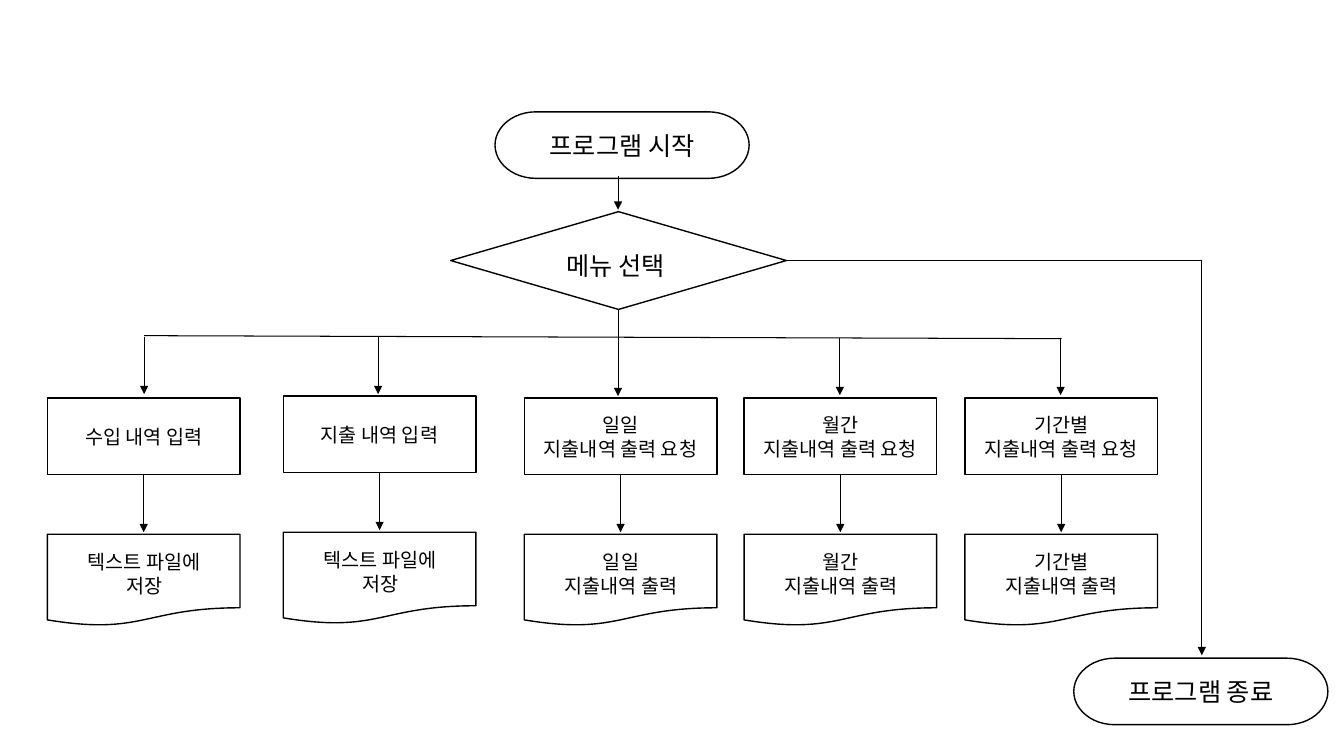
from dataclasses import dataclass

from lxml import etree
from pptx import Presentation
from pptx.dml.color import RGBColor
from pptx.enum import shapes, text
from pptx.oxml import ns
from pptx.util import Inches, Pt


@dataclass(frozen=True)
class Theme:
    font: str = "Arial"
    ink: RGBColor = RGBColor(0, 0, 0)
    large: int = 18
    small: int = 14
    outline: float = 1
    connector: float = 0.75


THEME = Theme()
KIND = shapes.MSO_SHAPE

# Branches: left edge, vertical shift, request lines, result lines
BRANCHES = [
    (0.47, 0, ["수입 내역 입력"], ["텍스트 파일에", "저장"]),
    (2.81, -0.02, ["지출 내역 입력"], ["텍스트 파일에", "저장"]),
    (5.2, 0, ["일일", "지출내역 출력 요청"], ["일일", "지출내역 출력"]),
    (7.38, 0, ["월간", "지출내역 출력 요청"], ["월간", "지출내역 출력"]),
    (9.57, 0, ["기간별", "지출내역 출력 요청"], ["기간별", "지출내역 출력"]),
]
BOX_W, BOX_H = 1.91, 0.76
BOX_TOP, DOC_TOP, DOC_H = 3.95, 5.3, 0.91
MAIN_X, EXIT_X, EXIT_Y = 6.13, 11.92, 2.58


def write(sp, lines, size, align=text.PP_ALIGN.CENTER):
    tf = sp.text_frame
    tf.word_wrap = True
    tf.text = "\n".join(lines)
    for p in tf.paragraphs:
        p.alignment = align
        p.font.name = THEME.font
        p.font.size = Pt(size)
        p.font.color.rgb = THEME.ink


def add_node(s, kind, left, top, width, height, lines=(), size=THEME.small):
    sp = s.shapes.add_shape(kind, Inches(left), Inches(top),
                            Inches(width), Inches(height))
    sp.shadow.inherit = False
    sp.fill.background()
    sp.line.color.rgb = THEME.ink
    sp.line.width = Pt(THEME.outline)
    if lines:
        sp.text_frame.vertical_anchor = text.MSO_ANCHOR.MIDDLE
        write(sp, lines, size)


def add_label(s, left, top, width, height, lines, size, align):
    sp = s.shapes.add_textbox(Inches(left), Inches(top),
                              Inches(width), Inches(height))
    write(sp, lines, size, align)
    sp.text_frame.auto_size = text.MSO_AUTO_SIZE.SHAPE_TO_FIT_TEXT


def add_line(s, x1, y1, x2, y2, arrow=True):
    line = s.shapes.add_connector(shapes.MSO_CONNECTOR.STRAIGHT, Inches(x1),
                                  Inches(y1), Inches(x2), Inches(y2))
    line.line.color.rgb = THEME.ink
    line.line.width = Pt(THEME.connector)
    if arrow:
        ln = line.line._get_or_add_ln()
        etree.SubElement(ln, ns.qn("a:tailEnd"), type="triangle")
    etree.SubElement(line._element.spPr, ns.qn("a:effectLst"))


def add_terminator(s, left, top, caption):
    add_node(s, KIND.FLOWCHART_TERMINATOR, left, top, 2.52, 0.66,
             [caption], THEME.large)


def add_branch(s, left, shift, request, result):
    center = left + BOX_W / 2
    box_top, doc_top = BOX_TOP + shift, DOC_TOP + shift
    add_node(s, KIND.RECTANGLE, left, box_top, BOX_W, BOX_H, request)
    add_node(s, KIND.FLOWCHART_DOCUMENT, left, doc_top, BOX_W, DOC_H)
    add_label(s, left + 0.11, doc_top + 0.11, 1.7, 0.57, result,
              THEME.small, text.PP_ALIGN.CENTER)
    add_line(s, center, box_top + BOX_H, center, doc_top - 0.02)


def main():
    prs = Presentation()
    prs.slide_width, prs.slide_height = Inches(13.33), Inches(7.5)
    s = prs.slides.add_slide(prs.slide_layouts[6])

    # Start and menu decision
    add_terminator(s, 4.91, 1.11, "프로그램 시작")
    add_line(s, MAIN_X, 1.75, MAIN_X, 2.08)
    add_node(s, KIND.DIAMOND, 4.47, 2.1, 3.33, 0.97)
    add_label(s, 5.52, 2.43, 1.77, 0.4, ["메뉴 선택"], THEME.large,
              text.PP_ALIGN.LEFT)

    # Distribution line and its drops; the middle drop leaves the diamond
    add_line(s, 1.43, 3.33, 10.53, 3.36, arrow=False)
    add_line(s, MAIN_X, 3.07, MAIN_X, 3.93)
    for x, y in [(1.43, 3.34), (3.75, 3.34), (8.33, 3.35), (10.52, 3.35)]:
        add_line(s, x, y, x, y + 0.57)

    # Menu branches
    for branch in BRANCHES:
        add_branch(s, *branch)

    # Exit path
    add_line(s, 7.81, EXIT_Y, EXIT_X, EXIT_Y, arrow=False)
    add_line(s, EXIT_X, EXIT_Y, EXIT_X, 6.5)
    add_terminator(s, 10.65, 6.53, "프로그램 종료")

    prs.save("out.pptx")


if __name__ == "__main__":
    main()
